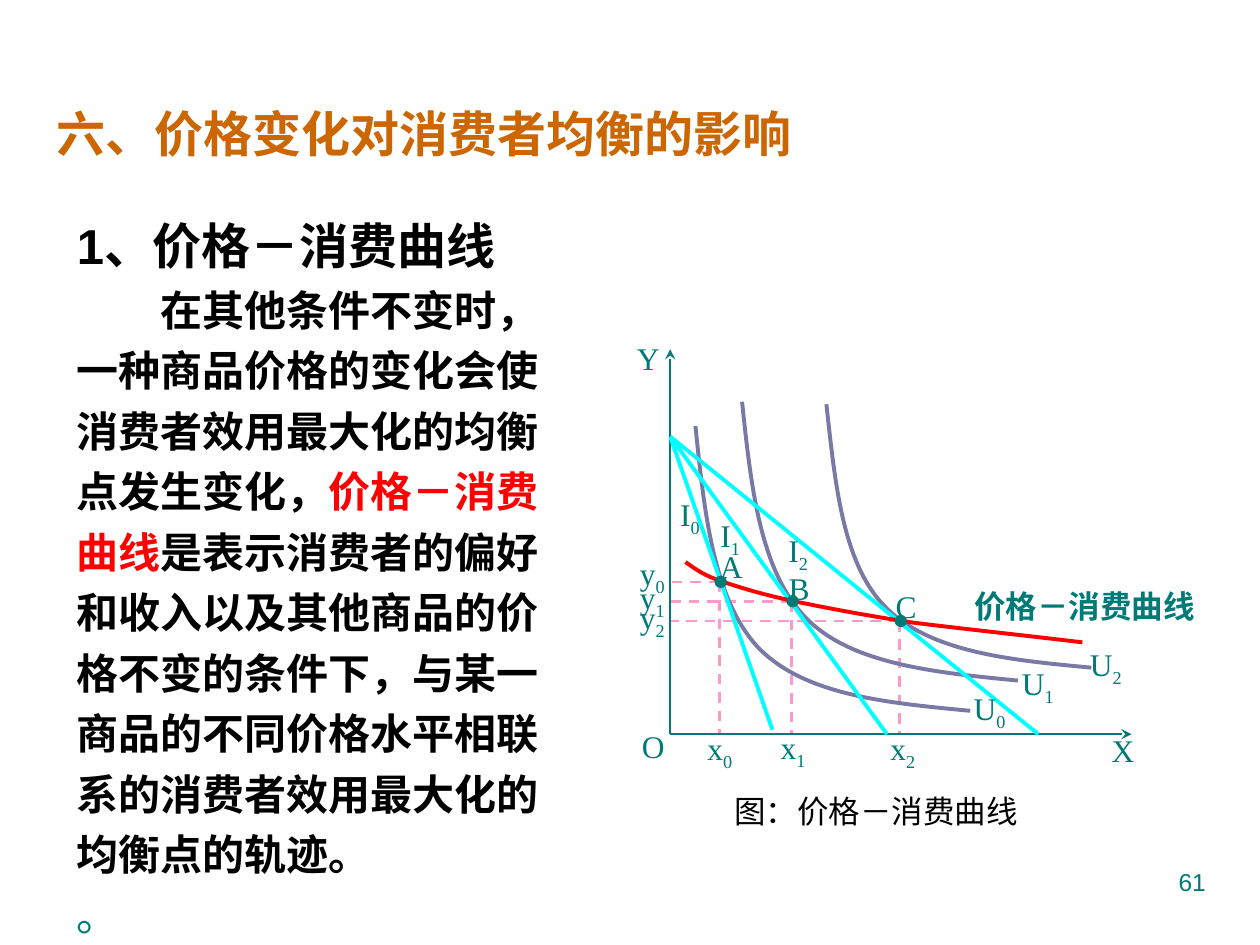
import pptx
import pptx.dml.color
import pptx.enum.dml
import pptx.enum.shapes
import pptx.enum.text
import pptx.oxml.ns
import pptx.util
from lxml import etree

Cm, Pt = pptx.util.Cm, pptx.util.Pt
qn = pptx.oxml.ns.qn
ALIGN = pptx.enum.text.PP_ALIGN

THEME = dict(
    title="CC6600", ink="000000", teal="007A77", red="FF0000",
    guide="FF99CC", budget="00FFFF", utility="7979A5",
    sans="Arial", serif="Times New Roman", chinese="Noto Sans CJK SC",
    heading_size=28, body_size=24, label_size=18, page_size=14,
    thin=1.5, thick=2.25,
)

# All positions are in centimetres; a box is left, top, width, height.
TITLE = "六、价格变化对消费者均衡的影响"
HEADING = "1、价格－消费曲线"
DEFINITION = [
    ("在其他条件不变时，一种商品价格的变化会使消费者效用最大化的均衡点发生变化，", "sans", "ink"),
    ("价格－消费曲线", "sans", "red"),
    ("是表示消费者的偏好和收入以及其他商品的价格不变的条件下，"
     "与某一商品的不同价格水平相联系的消费者效用最大化的均衡点的轨迹。", "chinese", "ink"),
]
CLOSING_MARK = "。"

ORIGIN = (13.51, 14.8)
AXIS_ENDS = [(13.51, 7.04), (22.81, 14.8)]
BUDGET_START = (13.51, 8.8)
BUDGET_ENDS = [(15.57, 14.71), (17.88, 14.8), (20.93, 14.8)]
EQUILIBRIA = [(14.53, 11.73), (15.98, 12.12), (18.16, 12.52)]
DOT = 0.25
GUIDE_SHIFT = 0.03

# Each curve is a start point followed by three Bezier points per segment.
UTILITY_CURVES = [
    [(14.02, 8.59), (14.2, 10.34), (14.38, 12.09), (15.29, 13.06),
     (16.23, 14.02), (17.88, 14.17), (19.56, 14.33)],
    [(14.96, 8.1), (15.14, 9.8), (15.32, 11.53), (16.26, 12.47),
     (17.17, 13.39), (18.85, 13.56), (20.52, 13.72)],
    [(16.66, 8.15), (16.84, 9.78), (16.99, 11.4), (17.88, 12.27),
     (18.8, 13.16), (20.4, 13.31), (22, 13.46)],
]
PRICE_CURVE = [
    (13.82, 11.33), (14, 11.46), (14.2, 11.61), (14.58, 11.73),
    (14.96, 11.86), (15.47, 12.01), (16.1, 12.14),
    (16.74, 12.27), (17.42, 12.4), (18.39, 12.55),
    (19.35, 12.67), (20.57, 12.8), (21.82, 12.95),
]

LABEL_SIZE = (1.14, 1.07)
LABELS = [  # letter, subscript, left, top
    ("Y", "", 12.5, 6.73), ("X", "", 22.07, 14.63), ("O", "", 12.6, 14.55),
    ("A", "", 14.17, 10.92), ("B", "", 15.54, 11.38), ("C", "", 17.7, 11.73),
    ("I", "0", 13.34, 9.88), ("I", "1", 14.15, 10.31), ("I", "2", 15.52, 10.6),
    ("U", "0", 19.38, 13.79), ("U", "1", 20.35, 13.28), ("U", "2", 21.72, 12.9),
    ("x", "0", 13.94, 14.6), ("x", "1", 15.42, 14.58), ("x", "2", 17.63, 14.6),
    ("y", "0", 12.58, 11.07), ("y", "1", 12.58, 11.56), ("y", "2", 12.58, 11.96),
]


def rgb(name):
    return pptx.dml.color.RGBColor.from_string(THEME[name])


def add_box(shapes, left, top, width, height, inset=(0.25, 0.13)):
    frame = shapes.add_textbox(Cm(left), Cm(top), Cm(width), Cm(height)).text_frame
    frame.word_wrap = True
    frame.margin_left = frame.margin_right = Cm(inset[0])
    frame.margin_top = frame.margin_bottom = Cm(inset[1])
    return frame


def write(para, text, *, size="label_size", font="serif", color="teal", bold=False,
          subscript=False, align=None, spacing=None):
    span = para.add_run()
    span.text = text
    span.font.size = Pt(THEME[size])
    span.font.name = THEME[font]
    span.font.bold = bold
    span.font.color.rgb = rgb(color)
    props = span.font._element
    if subscript:
        props.set("baseline", "-25000")
    east_asian = etree.Element(qn("a:ea"), typeface=THEME["chinese"])
    props.find(qn("a:latin")).addnext(east_asian)
    if align is not None:
        para.alignment = align
    if spacing:
        para.line_spacing = spacing


def style_line(shape, color, width):
    shape.line.color.rgb = rgb(color)
    shape.line.width = Pt(THEME[width])


def add_line(shapes, start, end, color, width, dashed=False, arrow=False):
    line = shapes.add_connector(
        pptx.enum.shapes.MSO_CONNECTOR.STRAIGHT, *map(Cm, start + end))
    style_line(line, color, width)
    if dashed:
        line.line.dash_style = pptx.enum.dml.MSO_LINE.DASH
    props = line._element.spPr
    if arrow:
        etree.SubElement(props.find(qn("a:ln")), qn("a:tailEnd"), type="stealth")
    etree.SubElement(props, qn("a:effectLst"))


def add_curve(shapes, points, color):
    """Draw the points as straight lines, then merge each three into one Bezier."""
    builder = shapes.build_freeform(*map(Cm, points[0]))
    builder.add_line_segments([tuple(map(Cm, point)) for point in points[1:]], close=False)
    curve = builder.convert_to_shape()
    lines = list(curve._element.iter(qn("a:lnTo")))
    for first in range(0, len(lines), 3):
        bezier = etree.Element(qn("a:cubicBezTo"))
        lines[first].addprevious(bezier)
        for line in lines[first:first + 3]:
            bezier.append(line[0])
            line.getparent().remove(line)
    curve.fill.background()
    curve.shadow.inherit = False
    style_line(curve, color, "thick")


def add_dot(shapes, x, y):
    dot = shapes.add_shape(
        pptx.enum.shapes.MSO_SHAPE.OVAL,
        Cm(x - DOT / 2), Cm(y - DOT / 2), Cm(DOT), Cm(DOT))
    dot.fill.solid()
    dot.fill.fore_color.rgb = rgb("teal")
    dot.line.fill.background()
    dot.shadow.inherit = False


def add_texts(shapes):
    para = add_box(shapes, 0.9, 1.73, 17.3, 1.68).paragraphs[0]
    para.space_before = Pt(3.5)
    write(para, TITLE, size="heading_size", font="chinese", color="title",
          bold=True, spacing=1.2)

    body = add_box(shapes, 1.3, 3.98, 10.39, 15.09)
    write(body.paragraphs[0], HEADING, size="heading_size", font="sans", color="ink",
          bold=True, spacing=1.2)
    para = body.add_paragraph()
    for text, font, color in DEFINITION:
        write(para, text, size="body_size", font=font, color=color, bold=True, spacing=1.2)
    first_line_indent = Pt(2 * THEME["body_size"])
    para._p.get_or_add_pPr().set("indent", str(first_line_indent))
    write(body.add_paragraph(), CLOSING_MARK, size="body_size", font="sans", spacing=1.2)


def add_diagram(shapes):
    for x, y in EQUILIBRIA:
        foot = x - GUIDE_SHIFT
        add_line(shapes, (foot, y), (ORIGIN[0], y), "guide", "thin", dashed=True)
        add_line(shapes, (foot, y), (foot, ORIGIN[1]), "guide", "thin", dashed=True)
    for end in AXIS_ENDS:
        add_line(shapes, ORIGIN, end, "teal", "thin", arrow=True)
    for points in UTILITY_CURVES:
        add_curve(shapes, points, "utility")
    for end in BUDGET_ENDS:
        add_line(shapes, BUDGET_START, end, "budget", "thick")
    add_curve(shapes, PRICE_CURVE, "red")
    for x, y in EQUILIBRIA:
        add_dot(shapes, x, y)

    small_inset = (0.15, 0.1)
    for letter, index, left, top in LABELS:
        para = add_box(shapes, left, top, *LABEL_SIZE, inset=small_inset).paragraphs[0]
        write(para, letter, align=ALIGN.CENTER)
        if index:
            write(para, index, subscript=True)
    write(add_box(shapes, 19.3, 11.73, 5.13, 1.07, inset=small_inset).paragraphs[0],
          "价格－消费曲线", bold=True, align=ALIGN.CENTER)
    write(add_box(shapes, 12.7, 15.83, 9.91, 1.12).paragraphs[0],
          "图：价格－消费曲线", font="chinese", color="ink", align=ALIGN.CENTER)


def main():
    deck = pptx.Presentation()
    deck.slide_width, deck.slide_height = Cm(25.4), Cm(19.05)
    page = deck.slides.add_slide(deck.slide_layouts[6])
    add_texts(page.shapes)
    add_diagram(page.shapes.add_group_shape().shapes)
    write(add_box(page.shapes, 18.21, 17.35, 6.35, 1.32).paragraphs[0], "61",
          size="page_size", font="sans", align=ALIGN.RIGHT)
    deck.save("out.pptx")


if __name__ == "__main__":
    main()
